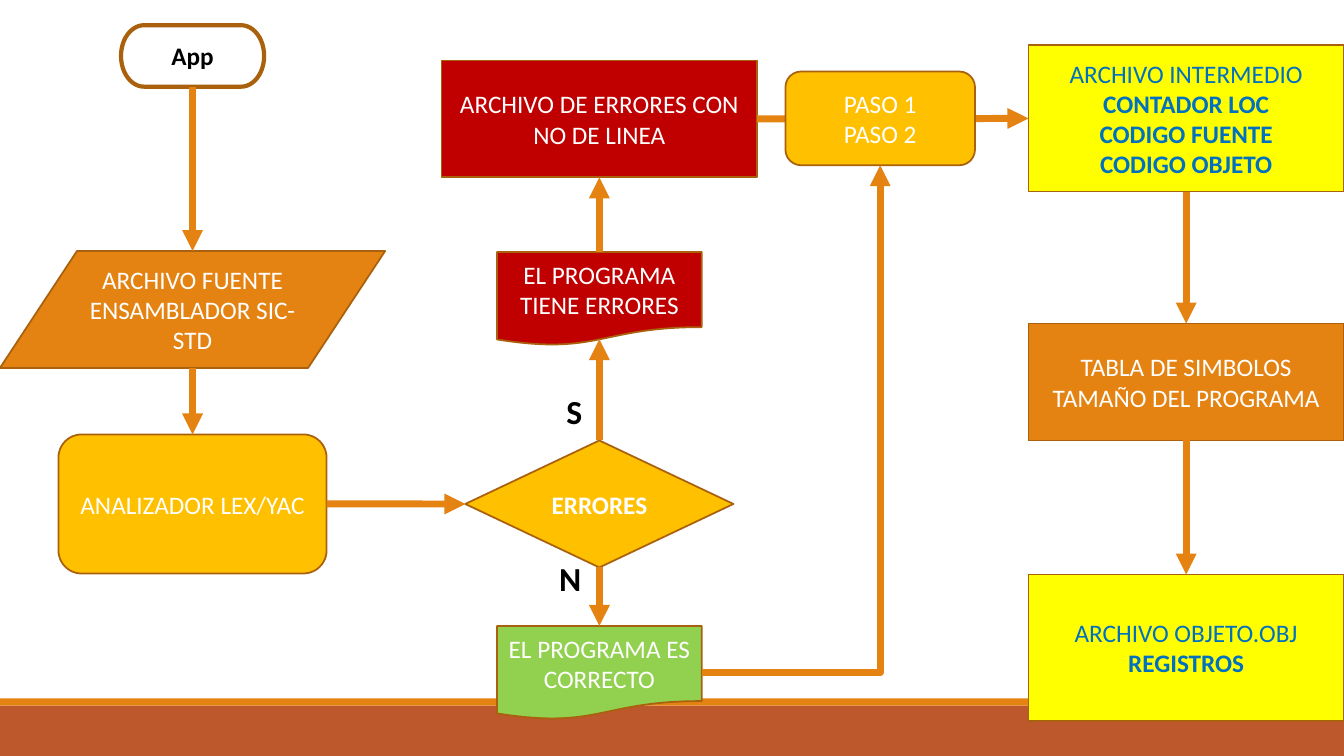
from dataclasses import dataclass

import pptx
import pptx.dml.color
import pptx.enum.shapes
import pptx.enum.text
import pptx.oxml
import pptx.oxml.ns
import pptx.util

Inches = pptx.util.Inches
RGBColor = pptx.dml.color.RGBColor
Kind = pptx.enum.shapes.MSO_SHAPE

ORANGE = RGBColor(0xE4, 0x83, 0x12)
BROWN = RGBColor(0xA9, 0x61, 0x0D)
RUST = RGBColor(0xBD, 0x58, 0x2C)
AMBER = RGBColor(0xFF, 0xC0, 0x00)
RED = RGBColor(0xC0, 0x00, 0x00)
GREEN = RGBColor(0x92, 0xD0, 0x50)
YELLOW = RGBColor(0xFF, 0xFF, 0x00)
BLUE = RGBColor(0x00, 0x70, 0xC0)
WHITE = RGBColor(0xFF, 0xFF, 0xFF)
BLACK = RGBColor(0x00, 0x00, 0x00)

TOP, LEFT, BOTTOM, RIGHT = range(4)
DOCUMENT_EDGE = 0.93  # where the wavy lower edge crosses the middle


@dataclass
class Box:
    left: float
    top: float
    width: float
    height: float

    def centred(self, top, width, height):
        return Box(self.left + (self.width - width) / 2, self.top + top, width, height)

    def lengths(self):
        return [Inches(value) for value in (self.left, self.top, self.width, self.height)]


def write_lines(frame, lines, color, size=18, bold_from=None):
    """Write centred lines; those from index bold_from on are bold."""
    frame.word_wrap = True
    for index, line in enumerate(lines):
        para = frame.paragraphs[0] if index == 0 else frame.add_paragraph()
        para.alignment = pptx.enum.text.PP_ALIGN.CENTER
        span = para.add_run()
        span.text = line
        span.font.color.rgb = color
        bold = bold_from is not None and index >= bold_from
        font_format = {"name": "Calibri", "size": pptx.util.Pt(size), "bold": bold}
        for name, value in font_format.items():
            setattr(span.font, name, value)


def add_node(page, box, kind, lines, fill, color=WHITE, bold_from=None, outline=1.25):
    node = page.shapes.add_shape(kind, *box.lengths())
    node.shadow.inherit = False
    if fill is None:
        node.fill.background()
    else:
        node.fill.solid()
        node.fill.fore_color.rgb = fill
    node.line.color.rgb = BROWN
    node.line.width = pptx.util.Pt(outline)
    node.text_frame.vertical_anchor = pptx.enum.text.MSO_ANCHOR.MIDDLE
    write_lines(node.text_frame, lines, color, bold_from=bold_from)
    return node


def side_point(node, side):
    across = {LEFT: 0, RIGHT: 1}.get(side, 0.5)
    down = {TOP: 0, BOTTOM: 1}.get(side, 0.5)
    if node.auto_shape_type == Kind.FLOWCHART_DOCUMENT and side == BOTTOM:
        down = DOCUMENT_EDGE
    return int(node.left + node.width * across), int(node.top + node.height * down)


def has_site(node, side):
    """Whether the node's numbered connection site is the middle of that side."""
    kind = node.auto_shape_type
    return kind != Kind.FLOWCHART_DATA and (kind, side) != (Kind.FLOWCHART_DOCUMENT, BOTTOM)


def add_arrow(page, start, start_side, end, end_side, elbow=False):
    types = pptx.enum.shapes.MSO_CONNECTOR
    arrow = page.shapes.add_connector(
        types.ELBOW if elbow else types.STRAIGHT,
        *side_point(start, start_side), *side_point(end, end_side))
    if has_site(start, start_side):
        arrow.begin_connect(start, start_side)
    if has_site(end, end_side):
        arrow.end_connect(end, end_side)
    arrow.line.color.rgb = ORANGE
    arrow.line.width = pptx.util.Pt(5)
    properties = arrow._element.spPr
    if elbow:  # a single corner
        properties.find(pptx.oxml.ns.qn("a:prstGeom")).set("prst", "bentConnector2")
    namespace = pptx.oxml.ns.nsdecls("a")
    line = properties.find(pptx.oxml.ns.qn("a:ln"))
    line.append(pptx.oxml.parse_xml(f'<a:tailEnd {namespace} type="triangle"/>'))
    line.addnext(pptx.oxml.parse_xml(f"<a:effectLst {namespace}/>"))


def draw_footer(page, box):
    line_height = 0.07
    bands = [(Box(box.left, box.top + line_height, box.width, box.height - line_height), RUST),
             (Box(box.left, box.top, box.width, line_height), ORANGE)]
    for band_box, color in bands:
        band = page.shapes.add_shape(Kind.RECTANGLE, *band_box.lengths())
        band.shadow.inherit = False
        band.fill.solid()
        band.fill.fore_color.rgb = color
        band.line.fill.background()


def draw_source_column(page, box):
    app = add_node(page, box.centred(0, 1.42, 0.61), Kind.FLOWCHART_TERMINATOR,
                   ["App"], None, BLACK, bold_from=0, outline=3)
    source = add_node(page, box.centred(2.24, box.width, 1.16), Kind.FLOWCHART_DATA,
                      ["ARCHIVO FUENTE ENSAMBLADOR SIC-STD"], ORANGE)
    analyzer = add_node(page, box.centred(4.06, 2.66, 1.38), Kind.ROUNDED_RECTANGLE,
                        ["ANALIZADOR LEX/YAC"], AMBER)
    add_arrow(page, app, BOTTOM, source, TOP)
    add_arrow(page, source, BOTTOM, analyzer, TOP)
    return analyzer


def draw_error_column(page, box):
    error_file = add_node(page, box.centred(0, box.width, 1.16), Kind.RECTANGLE,
                          ["ARCHIVO DE ERRORES CON NO DE LINEA"], RED)
    failed = add_node(page, box.centred(1.9, 2.03, 0.93), Kind.FLOWCHART_DOCUMENT,
                      ["EL PROGRAMA TIENE ERRORES"], RED)
    decision = add_node(page, box.centred(3.77, 2.66, 1.26), Kind.FLOWCHART_DECISION,
                        ["ERRORES"], AMBER, bold_from=0)
    correct = add_node(page, box.centred(5.61, 2.03, 0.93), Kind.FLOWCHART_DOCUMENT,
                       ["EL PROGRAMA ES CORRECTO"], GREEN)
    add_arrow(page, failed, TOP, error_file, BOTTOM)
    add_arrow(page, decision, TOP, failed, BOTTOM)
    add_arrow(page, decision, BOTTOM, correct, TOP)
    # Branch labels
    for text, left, top, width in (("S", 1.06, 3.23, 0.51), ("N", 0.98, 4.89, 0.59)):
        label_box = Box(box.left + left, box.top + top, width, 0.54)
        label = page.shapes.add_textbox(*label_box.lengths())
        write_lines(label.text_frame, [text], BLACK, size=24, bold_from=0)
    return error_file, decision, correct


def draw_output_column(page, box):
    intermediate = add_node(
        page, box.centred(0, box.width, 1.45), Kind.RECTANGLE,
        ["ARCHIVO INTERMEDIO", "CONTADOR LOC", "CODIGO FUENTE", "CODIGO OBJETO"],
        YELLOW, BLUE, bold_from=1)
    symbols = add_node(page, box.centred(2.76, box.width, 1.16), Kind.RECTANGLE,
                       ["TABLA DE SIMBOLOS", "TAMAÑO DEL PROGRAMA"], ORANGE)
    object_file = add_node(page, box.centred(5.25, box.width, 1.45), Kind.RECTANGLE,
                           ["ARCHIVO OBJETO.OBJ", "REGISTROS"], YELLOW, BLUE, bold_from=1)
    add_arrow(page, intermediate, BOTTOM, symbols, TOP)
    add_arrow(page, symbols, BOTTOM, object_file, TOP)
    return intermediate


def draw_passes(page, box):
    return add_node(page, box, Kind.ROUNDED_RECTANGLE, ["PASO 1", "PASO 2"], AMBER)


def main():
    deck = pptx.Presentation()
    deck.slide_width, deck.slide_height = Inches(13.33), Inches(7.5)
    page = deck.slides.add_slide(deck.slide_layouts[6])

    draw_footer(page, Box(0, 6.93, 13.33, 0.57))
    analyzer = draw_source_column(page, Box(0, 0.25, 3.82, 5.44))
    error_file, decision, correct = draw_error_column(page, Box(4.38, 0.6, 3.13, 6.54))
    intermediate = draw_output_column(page, Box(10.2, 0.45, 3.13, 6.7))

    # Links between regions; the passes box covers the line behind it
    add_arrow(page, analyzer, RIGHT, decision, LEFT)
    add_arrow(page, error_file, RIGHT, intermediate, LEFT)
    passes = draw_passes(page, Box(7.79, 0.71, 1.88, 0.93))
    add_arrow(page, correct, RIGHT, passes, BOTTOM, elbow=True)

    deck.save("out.pptx")


if __name__ == "__main__":
    main()
